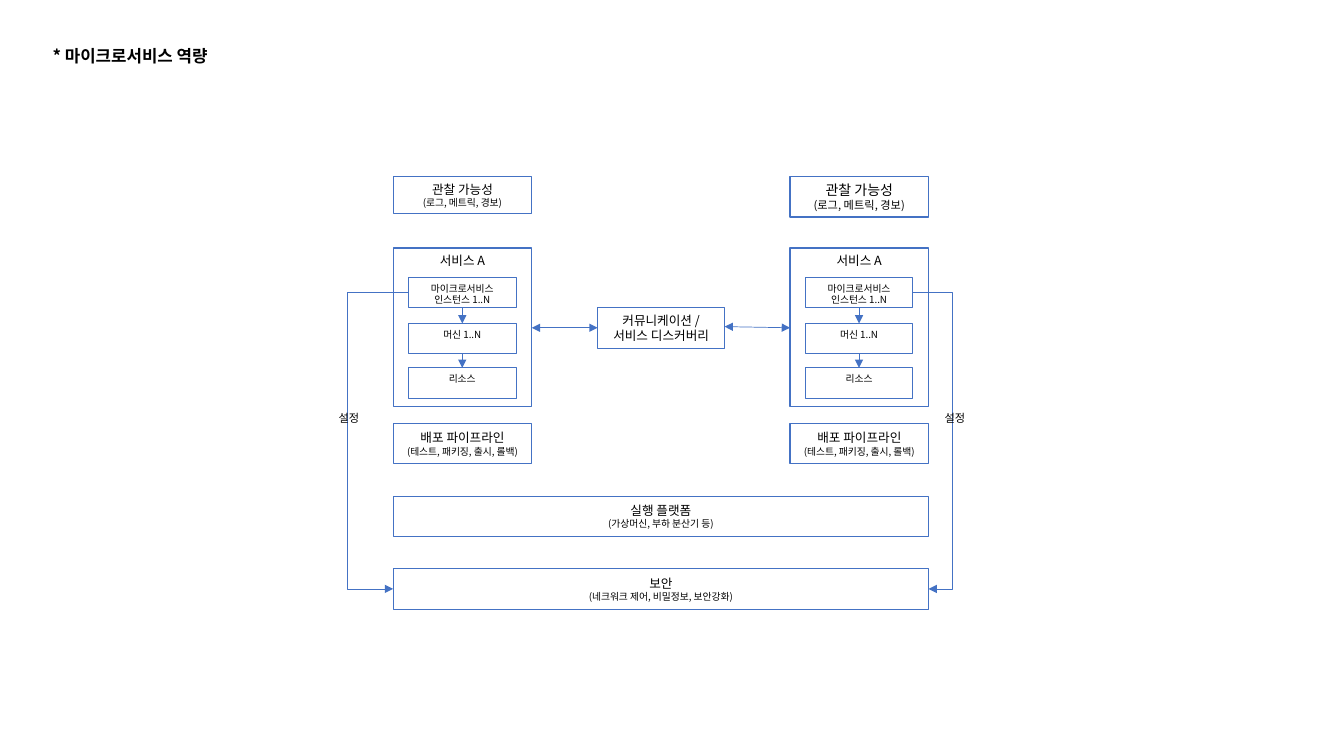
"""Build a slide that shows the capabilities a microservice setup needs."""
from lxml import etree
from pptx import Presentation
from pptx.dml.color import RGBColor
from pptx.enum.shapes import MSO_CONNECTOR, MSO_SHAPE
from pptx.enum.text import MSO_ANCHOR, MSO_AUTO_SIZE, PP_ALIGN
from pptx.oxml.ns import qn
from pptx.util import Cm, Pt

RECTANGLE = MSO_SHAPE.RECTANGLE
STRAIGHT, ELBOW = MSO_CONNECTOR.STRAIGHT, MSO_CONNECTOR.ELBOW
TOP, MIDDLE = MSO_ANCHOR.TOP, MSO_ANCHOR.MIDDLE
GROW, FIXED = MSO_AUTO_SIZE.SHAPE_TO_FIT_TEXT, MSO_AUTO_SIZE.NONE
LEFT, CENTER = PP_ALIGN.LEFT, PP_ALIGN.CENTER
FONT = "Noto Sans CJK KR"
COLORS = {"line": "4472C4", "text": "000000"}


def write(shape, lines, align=CENTER, bold=False, **frame_format):
    """Fill a shape with (text, size) lines and format its frame."""
    frame = shape.text_frame
    settings = {"word_wrap": True, "vertical_anchor": TOP, "auto_size": FIXED}
    for name, value in (settings | frame_format).items():
        setattr(frame, name, value)
    for index, (text, size) in enumerate(lines):
        para = frame.add_paragraph() if index else frame.paragraphs[0]
        para.alignment = align
        span = para.add_run()
        span.text = text
        for name, value in {"name": FONT, "size": Pt(size), "bold": bold}.items():
            setattr(span.font, name, value)
        span.font.color.rgb = RGBColor.from_string(COLORS["text"])
        east_asian = etree.SubElement(span.font._element, qn("a:ea"))
        east_asian.set("typeface", FONT)


deck = Presentation()
deck.slide_width, deck.slide_height = Cm(33.87), Cm(19.05)
page = deck.slides.add_slide(deck.slide_layouts[5])

title = page.shapes.title
title_place = {"left": 1.07, "top": 1.02, "width": 5, "height": 0.77}
for name, value in title_place.items():
    setattr(title, name, Cm(value))
write(title, [("* 마이크로서비스 역량", 12)], LEFT, True, auto_size=GROW)

column_left, column_step, column_width = 9.91, 10, 3.49
column_right = column_left + column_step + column_width
inner_inset, inner_width, inner_height = 0.38, 2.72, 0.77
instance_top, machine_top, resource_top = 6.99, 8.15, 9.27
instance_middle, security_middle = 7.37, 14.84
band_width = column_step + column_width

boxes = [
    (15.06, 7.75, 3.2, 1.04, [("커뮤니케이션 /", 9), ("서비스 디스커버리", 9)],
     {"auto_size": GROW, "word_wrap": False}),
    (column_left, 12.5, band_width, 1.02,
     [("실행 플랫폼", 9), ("(가상머신, 부하 분산기 등)", 7)], {"vertical_anchor": MIDDLE}),
    (column_left, 14.33, band_width, 1.02,
     [("보안", 9), ("(네크워크 제어, 비밀정보, 보안강화)", 7)], {"vertical_anchor": MIDDLE}),
]
links = [
    (STRAIGHT, column_left + column_width, 8.26, 15.06, 8.26, True, None),
    (STRAIGHT, 18.26, 8.23, column_left + column_step, 8.26, True, None),
    (ELBOW, column_left + inner_inset, instance_middle,
     column_left, security_middle, False, 402800),
    (ELBOW, column_right - inner_inset, instance_middle,
     column_right, security_middle, False, 259900),
]

for column, (size, height) in enumerate([(9, 0.94), (10, 1.02)]):
    left = column_left + column * column_step
    inner_left = left + inner_inset
    center = inner_left + inner_width / 2
    boxes += [
        (left, 4.45, column_width, height,
         [("관찰 가능성", size), ("(로그, 메트릭, 경보)", size - 2)], {"auto_size": GROW}),
        (left, 6.25, column_width, 3.99, [("서비스 A", 9)], {}),
        (left, 10.67, column_width, 1.02,
         [("배포 파이프라인", 9), ("(테스트, 패키징, 출시, 롤백)", 7)],
         {"vertical_anchor": MIDDLE}),
    ]
    for top, texts in [
        (instance_top, ["마이크로서비스", "인스턴스 1..N"]),
        (machine_top, ["머신 1..N"]),
        (resource_top, ["리소스"]),
    ]:
        lines = [(text, 7) for text in texts]
        boxes.append((inner_left, top, inner_width, inner_height, lines, {}))
    for top, bottom in [(instance_top, machine_top), (machine_top, resource_top)]:
        links.append((STRAIGHT, center, top + inner_height, center, bottom, False, None))

for left, top, width, height, lines, frame_format in boxes:
    box = page.shapes.add_shape(RECTANGLE, Cm(left), Cm(top), Cm(width), Cm(height))
    box.shadow.inherit = False
    box.fill.background()
    box.line.color.rgb = RGBColor.from_string(COLORS["line"])
    box.line.width = Pt(0.75)
    write(box, lines, **frame_format)

for kind, start_x, start_y, end_x, end_y, two_way, bend in links:
    link = page.shapes.add_connector(kind, Cm(start_x), Cm(start_y), Cm(end_x), Cm(end_y))
    link.line.color.rgb = RGBColor.from_string(COLORS["line"])
    link.line.width = Pt(0.5)
    outline = link.line._get_or_add_ln()
    for tag in ["a:headEnd", "a:tailEnd"] if two_way else ["a:tailEnd"]:
        etree.SubElement(outline, qn(tag)).set("type", "triangle")
    properties = link.element.find(qn("p:spPr"))
    etree.SubElement(properties, qn("a:effectLst"))
    if bend:
        adjustments = properties.find(qn("a:prstGeom")).find(qn("a:avLst"))
        guide = etree.SubElement(adjustments, qn("a:gd"))
        guide.set("name", "adj1")
        guide.set("fmla", f"val {bend}")

for left in [7.92, 23.19]:
    label = page.shapes.add_textbox(Cm(left), Cm(10.24), Cm(1.75), Cm(0.61))
    write(label, [("설정", 8)], auto_size=GROW)

deck.save("out.pptx")
